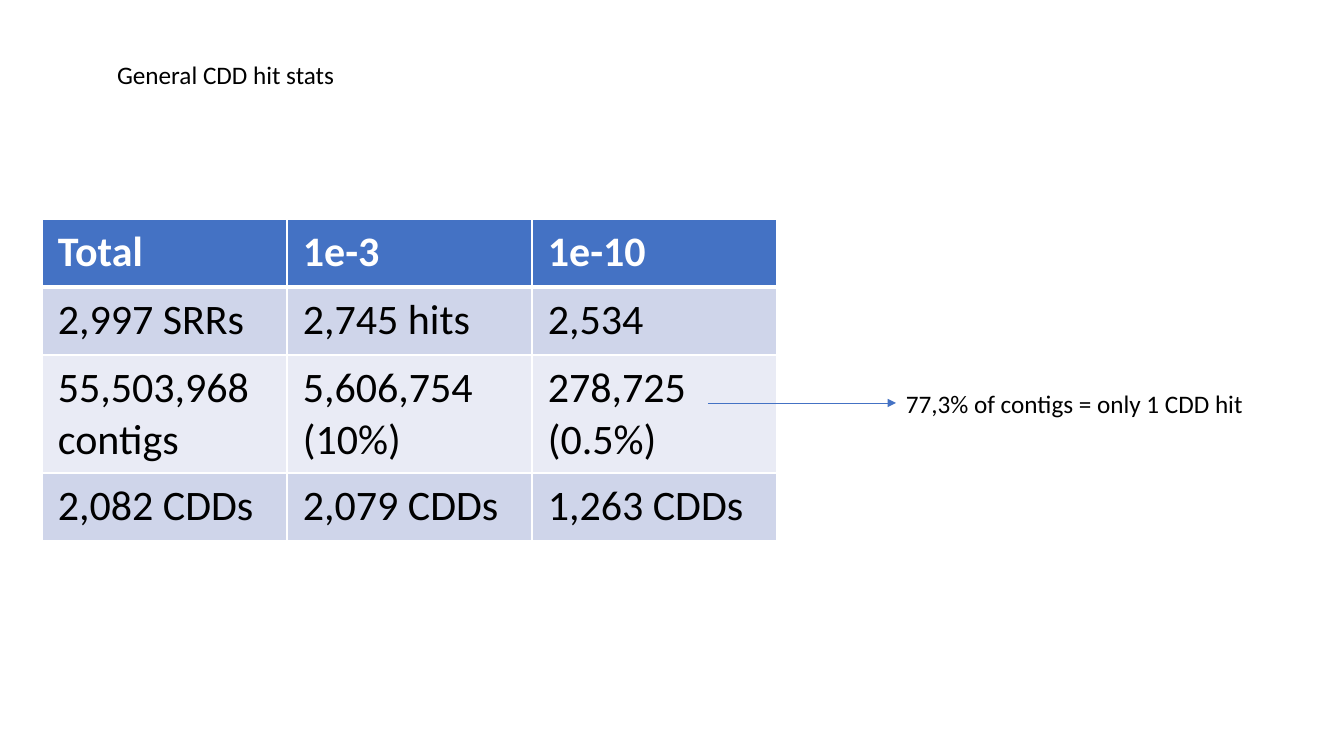
from dataclasses import dataclass

from lxml import etree
from pptx import Presentation
from pptx.dml.color import RGBColor
from pptx.enum.shapes import MSO_CONNECTOR
from pptx.enum.text import MSO_ANCHOR, MSO_AUTO_SIZE, PP_ALIGN
from pptx.oxml.ns import qn
from pptx.util import Pt

STRAIGHT = MSO_CONNECTOR.STRAIGHT
TOP = MSO_ANCHOR.TOP
FIT_SHAPE = MSO_AUTO_SIZE.SHAPE_TO_FIT_TEXT
LEFT = PP_ALIGN.LEFT
LEFT_SIDE = 1
TITLE_ONLY = 5
EMU_PER_PX = 914400 / 100.8


@dataclass(frozen=True)
class Theme:
    font: str = "Calibri"
    text: str = "000000"
    white: str = "FFFFFF"
    accent: str = "4472C4"
    bands: tuple = ("CFD5EA", "E9EBF5")
    note_size: int = 18
    table_size: int = 30
    rule: float = 1
    header_rule: float = 3
    arrow: float = 0.5


def px(length):
    return round(length * EMU_PER_PX)


def set_values(target, values):
    for name, value in values.items():
        setattr(target, name, value)


class SlideBuilder:
    def __init__(self, slide, theme):
        self.slide = slide
        self.theme = theme

    def format_text(self, text_frame, text, size, color, bold=False):
        text_frame.text = text
        paragraph = text_frame.paragraphs[0]
        paragraph.alignment = LEFT
        font = paragraph.runs[0].font
        set_values(font, {"name": self.theme.font, "size": Pt(size), "bold": bold})
        font.color.rgb = RGBColor.from_string(color)

    def fit_note(self, shape, text):
        """Style a shape as one unwrapped line of small text."""
        self.format_text(shape.text_frame, text, self.theme.note_size, self.theme.text)
        set_values(shape.text_frame, {
            "word_wrap": False, "auto_size": FIT_SHAPE, "vertical_anchor": TOP,
        })

    def title(self, text, left, top, width, height):
        shape = self.slide.shapes.title
        set_values(shape, {
            "left": px(left), "top": px(top),
            "width": px(width), "height": px(height),
        })
        self.fit_note(shape, text)

    def note(self, text, left, top, width, height):
        shape = self.slide.shapes.add_textbox(px(left), px(top), px(width), px(height))
        self.fit_note(shape, text)
        return shape

    def arrow_to(self, shape, start_x, start_y):
        """Draw an arrow that ends at the middle of the shape's left side."""
        connector = self.slide.shapes.add_connector(
            STRAIGHT, px(start_x), px(start_y), shape.left, px(start_y))
        connector.end_connect(shape, LEFT_SIDE)
        connector.line.width = Pt(self.theme.arrow)
        connector.line.color.rgb = RGBColor.from_string(self.theme.accent)
        etree.SubElement(connector.line._get_or_add_ln(), qn("a:tailEnd"), type="triangle")
        etree.SubElement(connector._element.spPr, qn("a:effectLst"))

    def cell_borders(self, cell, widths):
        properties = cell._tc.get_or_add_tcPr()
        for index, (side, width) in enumerate(widths.items()):
            line = etree.Element(qn(f"a:ln{side}"), w=str(Pt(width)))
            fill = etree.SubElement(line, qn("a:solidFill"))
            etree.SubElement(fill, qn("a:srgbClr"), val=self.theme.white)
            properties.insert(index, line)

    def table(self, rows, left, top, column_width, row_heights):
        theme = self.theme
        column_count = len(rows[0])
        table = self.slide.shapes.add_table(
            len(rows), column_count, px(left), px(top),
            px(column_width * column_count), px(sum(row_heights))).table
        for column in table.columns:
            column.width = px(column_width)
        for row_index, (texts, height) in enumerate(zip(rows, row_heights)):
            table.rows[row_index].height = px(height)
            header = row_index == 0
            fill = theme.accent if header else theme.bands[(row_index - 1) % 2]
            color = theme.white if header else theme.text
            borders = {
                "L": theme.rule,
                "R": theme.rule,
                "T": theme.header_rule if row_index == 1 else theme.rule,
                "B": theme.header_rule if header else theme.rule,
            }
            for column_index, text in enumerate(texts):
                cell = table.cell(row_index, column_index)
                set_values(cell, {
                    "margin_left": px(16), "margin_right": px(16),
                    "margin_top": px(8), "margin_bottom": px(8),
                })
                cell.fill.solid()
                cell.fill.fore_color.rgb = RGBColor.from_string(fill)
                self.cell_borders(cell, borders)
                self.format_text(cell.text_frame, text, theme.table_size, color, header)


def main():
    presentation = Presentation()
    set_values(presentation, {"slide_width": px(1344), "slide_height": px(756)})
    slide = presentation.slides.add_slide(presentation.slide_layouts[TITLE_ONLY])
    builder = SlideBuilder(slide, Theme())

    builder.title("General CDD hit stats", 107, 54, 240, 40)
    builder.table(
        [
            ("Total", "1e-3", "1e-10"),
            ("2,997 SRRs", "2,745 hits", "2,534"),
            ("55,503,968 contigs", "5,606,754 (10%)", "278,725 (0.5%)"),
            ("2,082 CDDs", "2,079 CDDs", "1,263 CDDs"),
        ],
        left=42, top=219, column_width=245, row_heights=(68, 68, 118, 68))
    contig_note = builder.note("77,3% of contigs = only 1 CDD hit", 896, 383, 362, 40)
    builder.arrow_to(contig_note, 708, 403)

    presentation.save("out.pptx")


if __name__ == "__main__":
    main()
